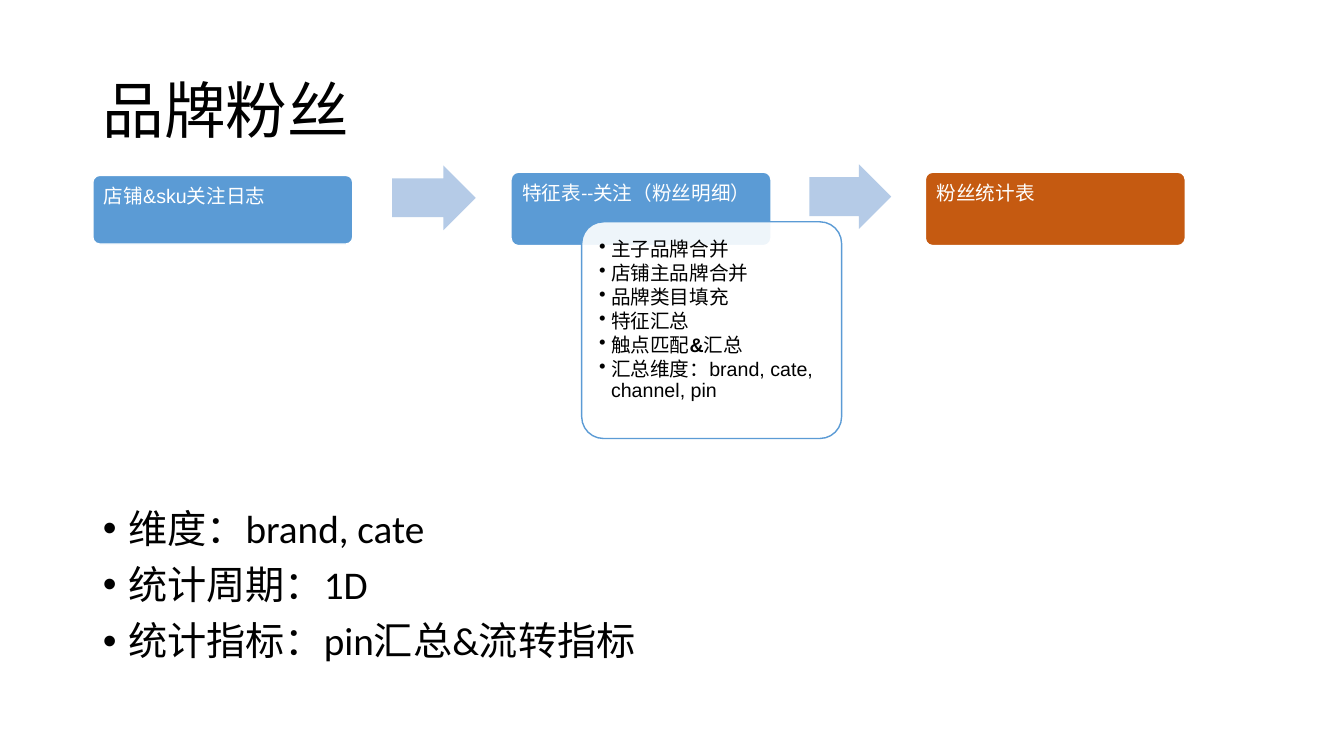
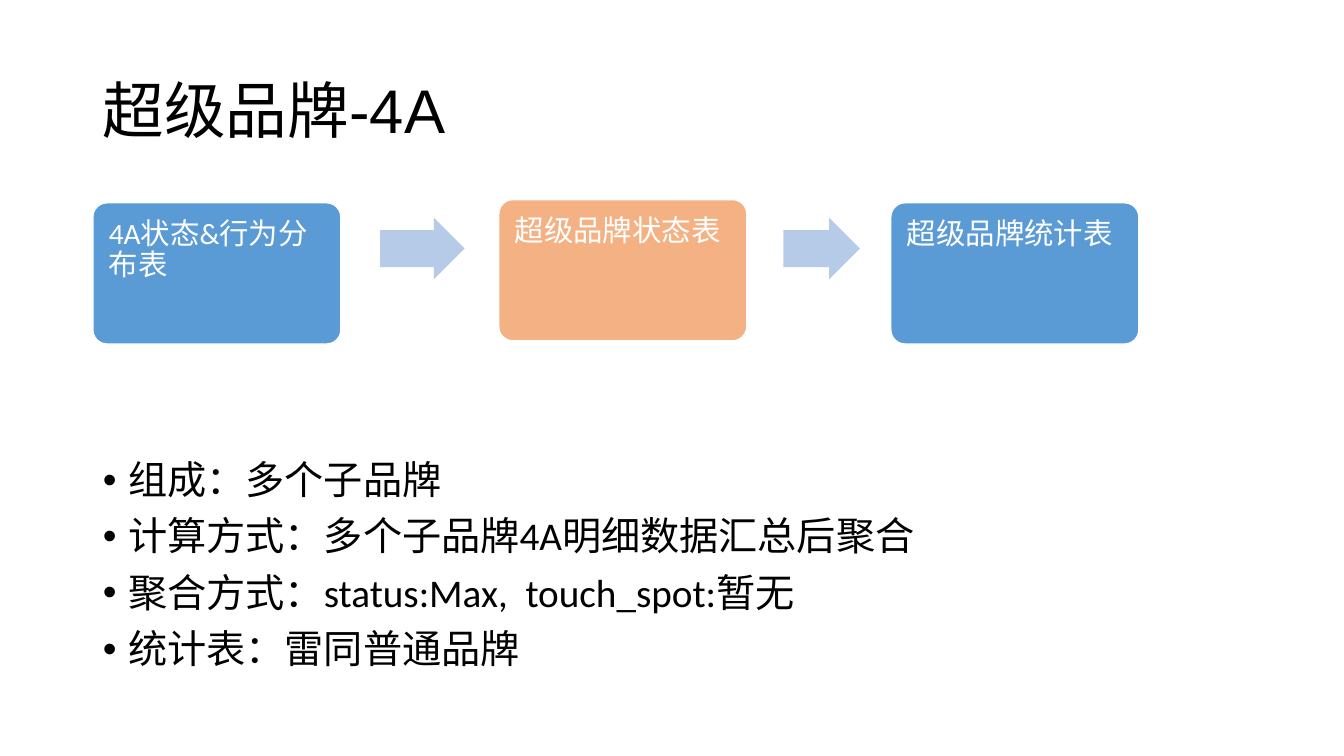
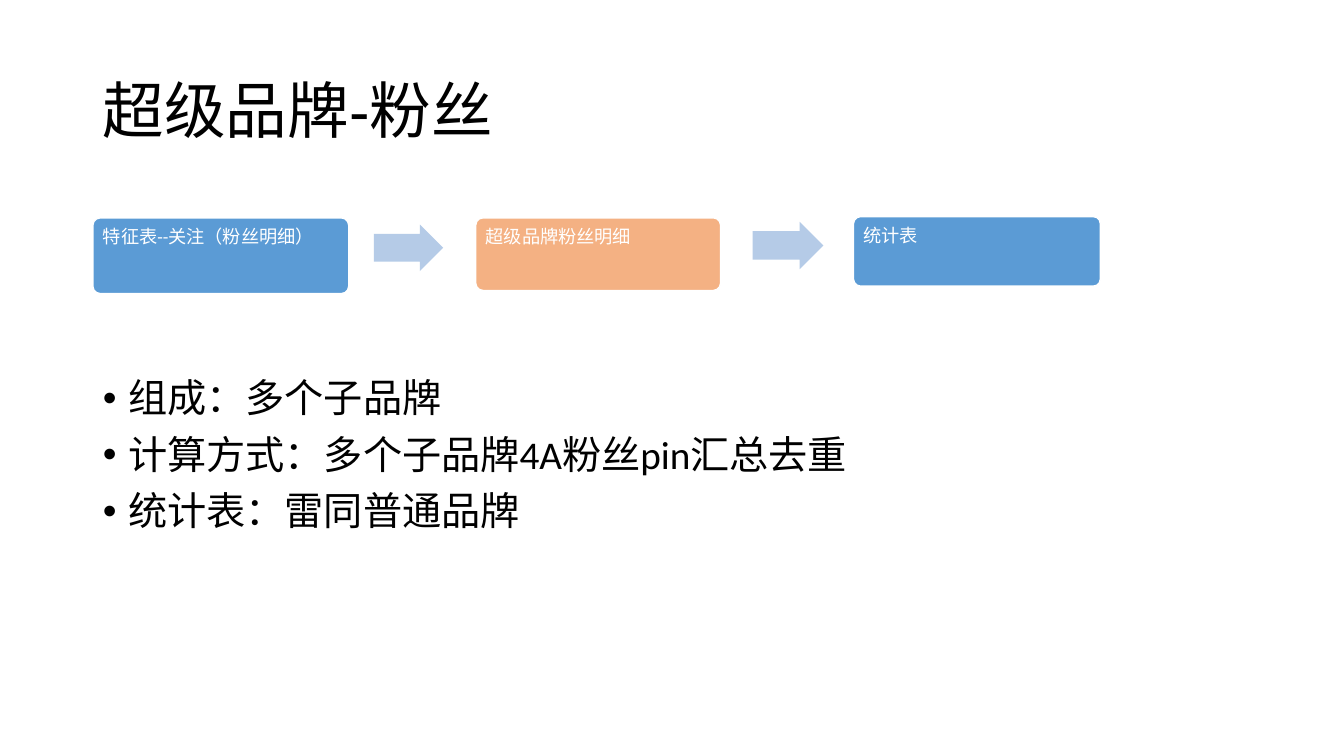
import dataclasses

import lxml.etree
import pptx
import pptx.dml.color
import pptx.enum.shapes
import pptx.enum.text
import pptx.oxml.ns
import pptx.util

Cm = pptx.util.Cm
Pt = pptx.util.Pt
SHAPES = pptx.enum.shapes.MSO_SHAPE
ANCHOR = pptx.enum.text.MSO_ANCHOR


@dataclasses.dataclass(frozen=True)
class Theme:
    ink: str = "000000"
    paper: str = "FFFFFF"
    blue: str = "5B9BD5"
    arrow: str = "B5CBE7"
    rust: str = "C55A11"
    peach: str = "F4B183"
    heading_font: str = "Arial"
    body_font: str = "Calibri"
    title_size: int = 44
    body_size: int = 28
    detail_size: int = 14
    line_spacing: float = 0.9


@dataclasses.dataclass(frozen=True)
class Box:
    left: float
    top: float
    width: float
    height: float

    def inner(self, left, top, width, height):
        return Box(self.left + left, self.top + top, width, height)


THEME = Theme()
MARGIN = 2.34
CONTENT_WIDTH = 29.21
TITLE_BOX = Box(MARGIN, 1.02, CONTENT_WIDTH, 3.68)


def apply(target, values):
    for name, value in values.items():
        setattr(target, name, value)


def color(value):
    return pptx.dml.color.RGBColor.from_string(value)


def place(shape, box):
    apply(shape, {name: Cm(value) for name, value in dataclasses.asdict(box).items()})


def set_frame(frame, anchor, side=0.25, above=0.13, below=0.13):
    apply(frame, {
        "word_wrap": True,
        "auto_size": pptx.enum.text.MSO_AUTO_SIZE.NONE,
        "vertical_anchor": anchor,
        "margin_left": Cm(side),
        "margin_right": Cm(side),
        "margin_top": Cm(above),
        "margin_bottom": Cm(below),
    })


def write(para, spans, font, size, ink, before=0, after=0):
    apply(para, {
        "alignment": pptx.enum.text.PP_ALIGN.LEFT,
        "line_spacing": THEME.line_spacing,
        "space_before": Pt(before),
        "space_after": Pt(after),
    })
    for text, bold in spans:
        span = para.add_run()
        span.text = text
        apply(span.font, {"name": font, "size": Pt(size), "bold": bold})
        span.font.color.rgb = color(ink)


def add_bullet(para, indent):
    properties = para._p.get_or_add_pPr()
    properties.set("marL", str(Cm(indent)))
    properties.set("indent", str(-Cm(indent)))
    bullet = lxml.etree.SubElement(properties, pptx.oxml.ns.qn("a:buChar"))
    bullet.set("char", "•")


def write_list(frame, items, indent, **style):
    for index, spans in enumerate(items):
        para = frame.add_paragraph() if index else frame.paragraphs[0]
        write(para, spans, ink=THEME.ink, **style)
        add_bullet(para, indent)


def plain(text):
    return [(text, False)]


def add_block(page, kind, box, adjustments, fill, line=None):
    shape = page.shapes.add_shape(kind, 0, 0, 0, 0)
    place(shape, box)
    shape.shadow.inherit = False
    for index, value in enumerate(adjustments):
        shape.adjustments[index] = value
    shape.fill.solid()
    shape.fill.fore_color.rgb = color(fill)
    if line:
        shape.line.color.rgb = color(line)
        shape.line.width = Pt(1)
    else:
        shape.line.fill.background()
    return shape


def add_title(page, box, text):
    title = page.shapes.title
    place(title, box)
    set_frame(title.text_frame, ANCHOR.MIDDLE)
    write(title.text_frame.paragraphs[0], plain(text), THEME.heading_font,
          THEME.title_size, THEME.ink)


def add_body(page, box, items):
    body = page.placeholders[1]
    place(body, box)
    set_frame(body.text_frame, ANCHOR.TOP)
    write_list(body.text_frame, map(plain, items), 0.64,
               font=THEME.body_font, size=THEME.body_size, before=10)


def add_flow(page, box, steps, arrows, size, inset):
    for bounds, fill, font, label in steps:
        step = add_block(page, SHAPES.ROUNDED_RECTANGLE, box.inner(*bounds),
                         [0.1], fill, THEME.paper)
        set_frame(step.text_frame, ANCHOR.TOP, inset, inset, inset / 2)
        write(step.text_frame.paragraphs[0], plain(label), font, size, THEME.paper)
    for bounds in arrows:
        add_block(page, SHAPES.RIGHT_ARROW, box.inner(*bounds), [0.6, 0.5], THEME.arrow)


def add_detail_card(page, box, items):
    card = add_block(page, SHAPES.ROUNDED_RECTANGLE, box, [0.1], THEME.paper, THEME.blue)
    fill = card._element.spPr.find(".//" + pptx.oxml.ns.qn("a:srgbClr"))
    lxml.etree.SubElement(fill, pptx.oxml.ns.qn("a:alpha")).set("val", "90000")
    set_frame(card.text_frame, ANCHOR.TOP, 0.28, 0.28, 0.28)
    write_list(card.text_frame, items, 0.3,
               font=THEME.heading_font, size=THEME.detail_size, after=2)


def add_flow_page(deck, title, flow_box, flow, body_box, items):
    page = deck.slides.add_slide(deck.slide_layouts[1])
    add_title(page, TITLE_BOX, title)
    add_body(page, body_box, items)
    add_flow(page, flow_box, **flow)
    return page


def build_brand_fans(deck):
    flow_box = Box(MARGIN, 4.14, 27.53, 2.05)
    page = add_flow_page(
        deck, "品牌粉丝", flow_box,
        {
            "steps": [
                ((0, 0.28, 6.55, 1.73), THEME.blue, THEME.heading_font, "店铺&sku关注日志"),
                ((10.54, 0.2, 6.55, 1.85), THEME.blue, THEME.body_font,
                 "特征表--关注（粉丝明细）"),
                ((20.98, 0.2, 6.55, 1.85), THEME.rust, THEME.body_font, "粉丝统计表"),
            ],
            "arrows": [(7.54, 0.03, 2.11, 1.63), (18.06, 0, 2.06, 1.63)],
            "size": 14,
            "inset": 0.23,
        },
        Box(MARGIN, 12.7, CONTENT_WIDTH, 4.47),
        ["维度：brand, cate", "统计周期：1D", "统计指标：pin汇总&流转指标"],
    )
    add_detail_card(page, flow_box.inner(12.32, 1.45, 6.55, 5.46), [
        plain("主子品牌合并"),
        plain("店铺主品牌合并"),
        plain("品牌类目填充"),
        plain("特征汇总"),
        [("触点匹配", False), ("&", True), ("汇总", False)],
        plain("汇总维度：brand, cate, channel, pin"),
    ])


def build_super_brand_status(deck):
    add_flow_page(
        deck, "超级品牌-4A", Box(MARGIN, 5.03, 26.36, 3.64),
        {
            "steps": [
                ((0, 0.08, 6.25, 3.56), THEME.blue, THEME.body_font, "4A状态&行为分布表"),
                ((10.23, 0, 6.25, 3.56), THEME.peach, THEME.body_font, "超级品牌状态表"),
                ((20.11, 0.08, 6.25, 3.56), THEME.blue, THEME.body_font, "超级品牌统计表"),
            ],
            "arrows": [(7.24, 0.46, 2.13, 1.55), (17.4, 0.46, 1.93, 1.55)],
            "size": 21,
            "inset": 0.3,
        },
        Box(MARGIN, 11.48, CONTENT_WIDTH, 7.57),
        [
            "组成：多个子品牌",
            "计算方式：多个子品牌4A明细数据汇总后聚合",
            "聚合方式：status:Max,  touch_spot:暂无",
            "统计表：雷同普通品牌",
        ],
    )


def build_super_brand_fans(deck):
    add_flow_page(
        deck, "超级品牌-粉丝", Box(MARGIN, 5.46, 25.39, 1.94),
        {
            "steps": [
                ((0, 0.03, 6.45, 1.91), THEME.blue, THEME.body_font,
                 "特征表--关注（粉丝明细）"),
                ((9.65, 0.03, 6.17, 1.83), THEME.peach, THEME.body_font, "超级品牌粉丝明细"),
                ((19.17, 0, 6.22, 1.75), THEME.blue, THEME.body_font, "统计表"),
            ],
            "arrows": [(7.08, 0.2, 1.75, 1.17), (16.63, 0.13, 1.78, 1.19)],
            "size": 13,
            "inset": 0.2,
        },
        Box(MARGIN, 9.42, CONTENT_WIDTH, 7.57),
        [
            "组成：多个子品牌",
            "计算方式：多个子品牌4A粉丝pin汇总去重",
            "统计表：雷同普通品牌",
        ],
    )


def main():
    deck = pptx.Presentation()
    apply(deck, {"slide_width": Cm(33.87), "slide_height": Cm(19.05)})
    for build in (build_brand_fans, build_super_brand_status, build_super_brand_fans):
        build(deck)
    deck.save("out.pptx")


main()
